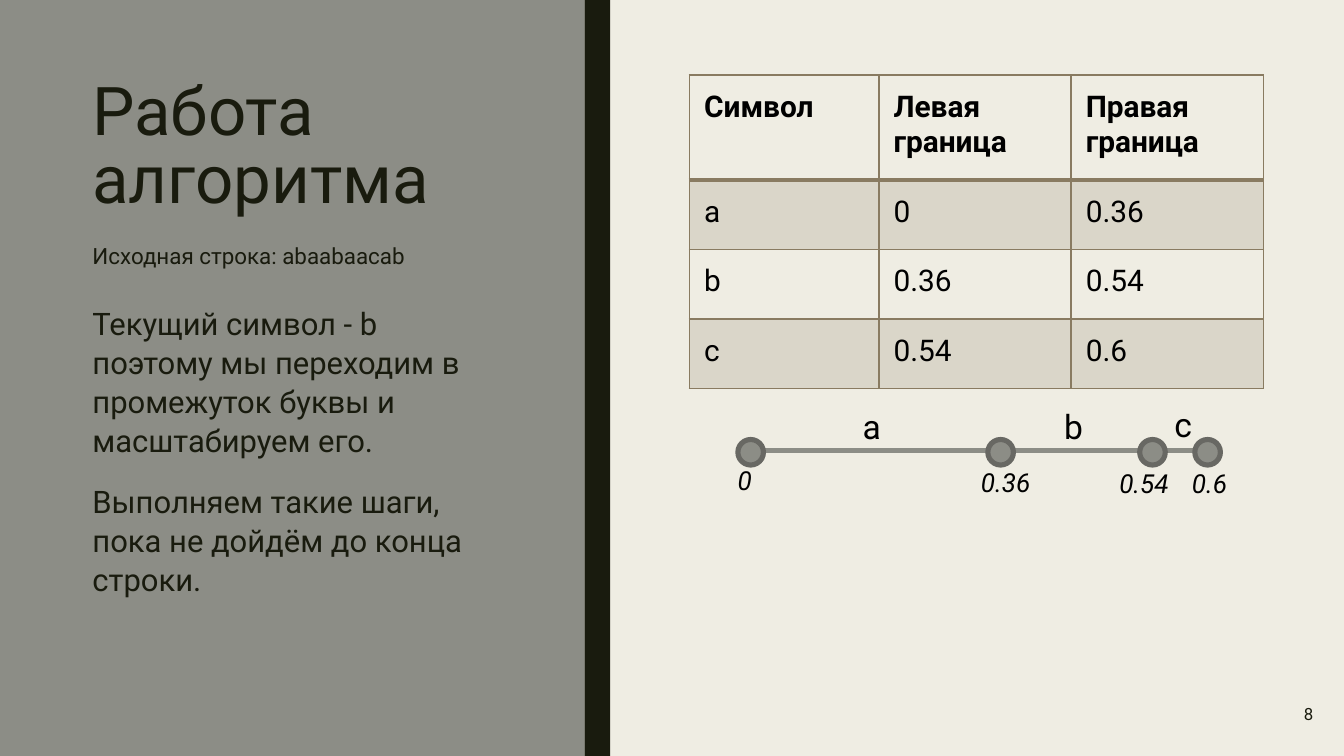
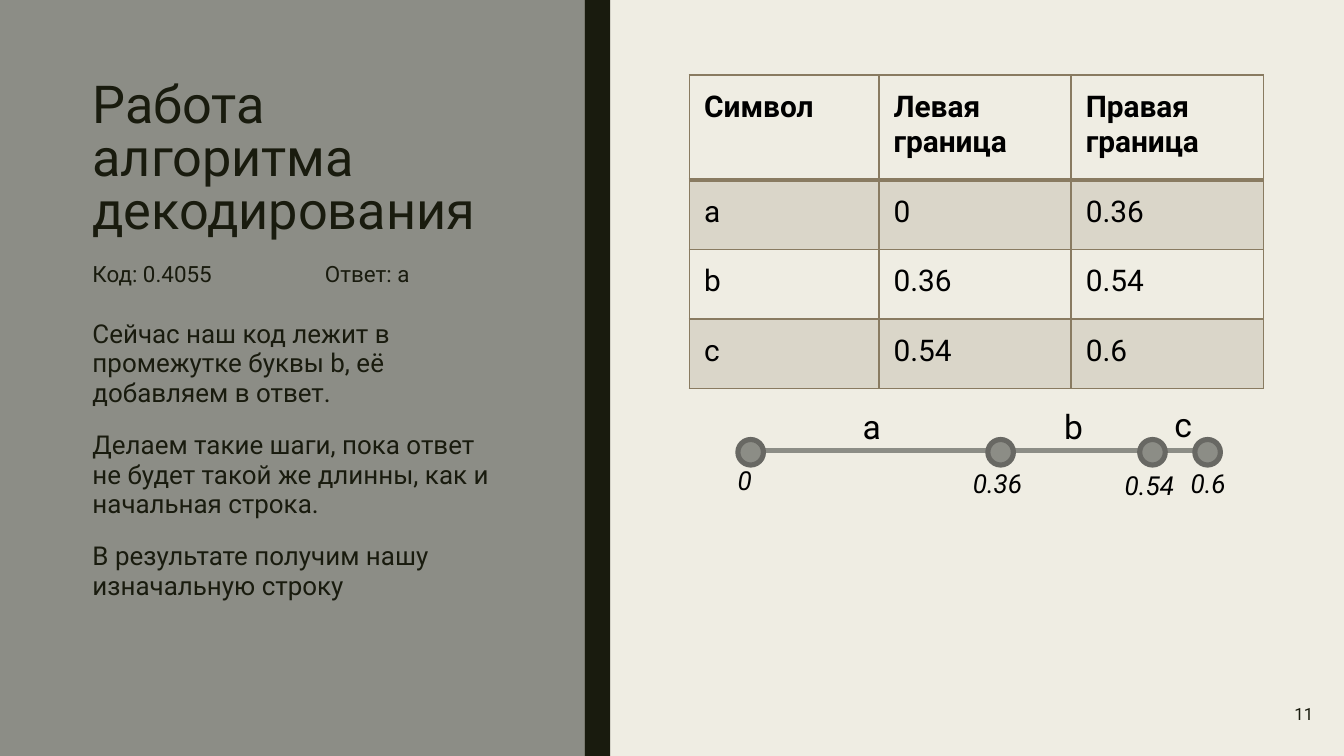
from dataclasses import dataclass, field

from lxml.etree import SubElement
from pptx import Presentation
from pptx.dml.color import RGBColor
from pptx.enum.shapes import MSO_CONNECTOR, MSO_SHAPE
from pptx.enum.text import MSO_ANCHOR, MSO_AUTO_SIZE, PP_ALIGN
from pptx.oxml.ns import qn
from pptx.shapes.autoshape import Shape
from pptx.shapes.shapetree import GroupShapes
from pptx.slide import Slide
from pptx.table import _Cell
from pptx.text.text import _Paragraph
from pptx.util import Pt


@dataclass(frozen=True)
class Theme:
    font: str = "Roboto"
    paper: str = "EFEDE3"
    panel: str = "8C8D86"
    ink: str = "191B0E"
    black: str = "000000"
    ring: str = "686863"
    table: str = "897B61"
    caption_size: float = 12
    cell_size: float = 16
    letter_size: float = 18
    bound_size: float = 14
    number_size: float = 9


@dataclass(frozen=True)
class Frame:
    left: float
    top: float
    width: float
    height: float

    def points(self) -> tuple:
        return Pt(self.left), Pt(self.top), Pt(self.width), Pt(self.height)


@dataclass(frozen=True)
class Style:
    size: float
    color: str
    bold: bool = False
    italic: bool = False


@dataclass(frozen=True)
class Layout:
    line: float = 1
    before: float = 0
    after: float = 0
    align: PP_ALIGN = PP_ALIGN.LEFT


@dataclass(frozen=True)
class Label:
    text: str
    left: float
    top: float
    width: float


@dataclass(frozen=True)
class Lesson:
    title: str
    title_size: float
    caption: str
    caption_top: float
    body: tuple[str, ...]
    body_size: float
    body_line: float
    bounds: tuple[Label, ...]
    number: str
    answer: str = ""
    answer_layout: Layout = field(default=Layout(1.13, after=11.2))


THEME = Theme()
WIDTH, HEIGHT = 720, 405
PANEL_WIDTH, BAND_WIDTH = 313.2, 13.68
TEXT_LEFT, TEXT_WIDTH = 42.48, 227.52
CONTENT_TOP = 40.32
CAPTION_HEIGHT = 33.84
ANSWER_LEFT = 167.04
COLUMNS = (101.5, 103, 103)
ROWS = (56.1, 37.3, 37.3, 37.3)
CELLS = (
    ("Символ", "Левая граница", "Правая граница"),
    ("a", "0", "0.36"),
    ("b", "0.36", "0.54"),
    ("c", "0.54", "0.6"),
)
CELL_INSET = 7.92
AXIS_TOP, AXIS_START, AXIS_END = 241.2, 399.6, 648
DOT_TOP, DOT_SIZE, STROKE = 235.44, 13.68, 2.75
DOT_LEFTS = (529.2, 610.56, 640.08, 395.28)
LETTERS = (
    Label("a", 455.04, 213.84, 24.48),
    Label("b", 563.04, 213.84, 24.48),
    Label("c", 622.08, 213.12, 23.04),
)
ZERO = Label("0", 388.08, 245.52, 23.04)

LESSONS = (
    Lesson(
        title="Работа алгоритма",
        title_size=36,
        caption="Исходная строка: abaabaacab",
        caption_top=124.56,
        body=(
            "Текущий символ - b поэтому мы переходим в промежуток буквы и масштабируем его.",
            "Выполняем такие шаги, пока не дойдём до конца строки.",
        ),
        body_size=16.6,
        body_line=1.05,
        bounds=(
            ZERO,
            Label("0.36", 518.4, 246.24, 43.2),
            Label("0.54", 592.56, 246.96, 43.2),
            Label("0.6", 631.44, 246.96, 34.56),
        ),
        number="8",
    ),
    Lesson(
        title="Работа алгоритма декодирования",
        title_size=28,
        caption="Код: 0.4055",
        caption_top=133.92,
        body=(
            "Сейчас наш код лежит в промежутке буквы b, её добавляем в ответ.",
            "Делаем такие шаги, пока ответ не будет такой же длинны, как и начальная строка.",
            "В результате получим нашу изначальную строку",
        ),
        body_size=13.9,
        body_line=0.95,
        bounds=(
            ZERO,
            Label("0.36", 514.08, 246.96, 43.2),
            Label("0.54", 595.44, 247.68, 43.2),
            Label("0.6", 630.72, 246.96, 34.56),
        ),
        number="11",
        answer="Ответ: а",
    ),
)


def color(value: str) -> RGBColor:
    return RGBColor.from_string(value)


def write(para: _Paragraph, text: str, style: Style, layout: Layout = Layout()) -> None:
    para.alignment = layout.align
    para.line_spacing = float(layout.line)
    para.space_before = Pt(layout.before)
    para.space_after = Pt(layout.after)
    span = para.add_run()
    span.text = text
    span.font.name = THEME.font
    span.font.size = Pt(style.size)
    span.font.bold = style.bold
    span.font.italic = style.italic
    span.font.color.rgb = color(style.color)


def add_text(shapes: GroupShapes, frame: Frame, text: str, style: Style,
             layout: Layout = Layout()) -> Shape:
    box = shapes.add_textbox(*frame.points())
    box.text_frame.word_wrap = True
    write(box.text_frame.paragraphs[0], text, style, layout)
    return box


def add_figure(shapes: GroupShapes, kind: MSO_SHAPE, frame: Frame, fill: str,
               ring: str = "") -> None:
    figure = shapes.add_shape(kind, *frame.points())
    figure.shadow.inherit = False
    figure.fill.solid()
    figure.fill.fore_color.rgb = color(fill)
    if ring:
        figure.line.color.rgb = color(ring)
        figure.line.width = Pt(STROKE)
    else:
        figure.line.fill.background()


def add_border(cell: _Cell, side: str, width: float) -> None:
    border = SubElement(cell._tc.get_or_add_tcPr(), qn(f"a:ln{side}"), w=str(Pt(width)))
    SubElement(SubElement(border, qn("a:solidFill")), qn("a:srgbClr"), val=THEME.table)


def fill_cell(cell: _Cell, text: str, row: int) -> None:
    cell.margin_left = cell.margin_right = Pt(CELL_INSET)
    cell.margin_top = cell.margin_bottom = Pt(CELL_INSET)
    write(cell.text_frame.paragraphs[0], text,
          Style(THEME.cell_size, THEME.black, bold=row == 0))
    for side in "LRTB":
        heavy = (row, side) in ((0, "B"), (1, "T"))
        add_border(cell, side, 2 if heavy else 1)
    if row % 2:
        cell.fill.solid()
        cell.fill.fore_color.rgb = color(THEME.table)
        tint = cell._tc.tcPr.find(qn("a:solidFill")).find(qn("a:srgbClr"))
        SubElement(tint, qn("a:alpha"), val="20000")
    else:
        cell.fill.background()


def add_bounds_table(page: Slide) -> None:
    frame = Frame(369.36, CONTENT_TOP, sum(COLUMNS), sum(ROWS))
    table = page.shapes.add_table(len(ROWS), len(COLUMNS), *frame.points()).table
    table.first_row = table.horz_banding = False
    for column, width in zip(table.columns, COLUMNS):
        column.width = Pt(width)
    for row, (height, texts) in enumerate(zip(ROWS, CELLS)):
        table.rows[row].height = Pt(height)
        for column, text in enumerate(texts):
            fill_cell(table.cell(row, column), text, row)


def add_labels(shapes: GroupShapes, labels: tuple[Label, ...], height: float,
               style: Style) -> None:
    for label in labels:
        frame = Frame(label.left, label.top, label.width, height)
        box = add_text(shapes, frame, label.text, style)
        box.text_frame.word_wrap = False
        box.text_frame.auto_size = MSO_AUTO_SIZE.SHAPE_TO_FIT_TEXT


def add_axis(page: Slide, bounds: tuple[Label, ...]) -> None:
    shapes = page.shapes.add_group_shape().shapes
    axis = shapes.add_connector(MSO_CONNECTOR.STRAIGHT, Pt(AXIS_START), Pt(AXIS_TOP),
                                Pt(AXIS_END), Pt(AXIS_TOP))
    axis.line.color.rgb = color(THEME.panel)
    axis.line.width = Pt(STROKE)
    SubElement(axis._element.spPr, qn("a:effectLst"))
    for left in DOT_LEFTS:
        add_figure(shapes, MSO_SHAPE.OVAL, Frame(left, DOT_TOP, DOT_SIZE, DOT_SIZE),
                   THEME.panel, THEME.ring)
    add_labels(shapes, LETTERS, 28.8, Style(THEME.letter_size, THEME.black))
    add_labels(shapes, bounds, 24.48, Style(THEME.bound_size, THEME.black, italic=True))


def add_backdrop(page: Slide) -> None:
    page.background.fill.solid()
    page.background.fill.fore_color.rgb = color(THEME.paper)
    add_figure(page.shapes, MSO_SHAPE.RECTANGLE, Frame(0, 0, PANEL_WIDTH, HEIGHT), THEME.panel)
    add_figure(page.shapes, MSO_SHAPE.RECTANGLE,
               Frame(PANEL_WIDTH, 0, BAND_WIDTH, HEIGHT), THEME.ink)


def add_body(page: Slide, lesson: Lesson) -> None:
    style = Style(lesson.body_size, THEME.ink)
    frame = Frame(TEXT_LEFT, lesson.caption_top + CAPTION_HEIGHT, TEXT_WIDTH, 167.76)
    box = add_text(page.shapes, frame, lesson.body[0], style, Layout(lesson.body_line))
    for text in lesson.body[1:]:
        after = 12 if text == lesson.body[-1] else 0
        write(box.text_frame.add_paragraph(), text, style,
              Layout(lesson.body_line, 12, after))


def add_lesson(page: Slide, lesson: Lesson) -> None:
    add_backdrop(page)
    add_text(page.shapes, Frame(TEXT_LEFT, CONTENT_TOP, TEXT_WIDTH, 127.44), lesson.title,
             Style(lesson.title_size, THEME.ink), Layout(0.84))
    add_bounds_table(page)
    caption = Style(THEME.caption_size, THEME.ink)
    add_text(page.shapes, Frame(TEXT_LEFT, lesson.caption_top, TEXT_WIDTH, CAPTION_HEIGHT),
             lesson.caption, caption, Layout(1.13, after=12))
    add_body(page, lesson)
    add_axis(page, lesson.bounds)
    if lesson.answer:
        add_text(page.shapes,
                 Frame(ANSWER_LEFT, lesson.caption_top, TEXT_WIDTH, CAPTION_HEIGHT),
                 lesson.answer, caption, lesson.answer_layout)
    number = add_text(page.shapes, Frame(667.44, 367.2, 43.2, 30.96), lesson.number,
                      Style(THEME.number_size, THEME.ink), Layout(align=PP_ALIGN.RIGHT))
    number.text_frame.vertical_anchor = MSO_ANCHOR.MIDDLE


def main() -> None:
    deck = Presentation()
    deck.slide_width, deck.slide_height = Pt(WIDTH), Pt(HEIGHT)
    for lesson in LESSONS:
        add_lesson(deck.slides.add_slide(deck.slide_layouts[6]), lesson)
    deck.save("out.pptx")


if __name__ == "__main__":
    main()
